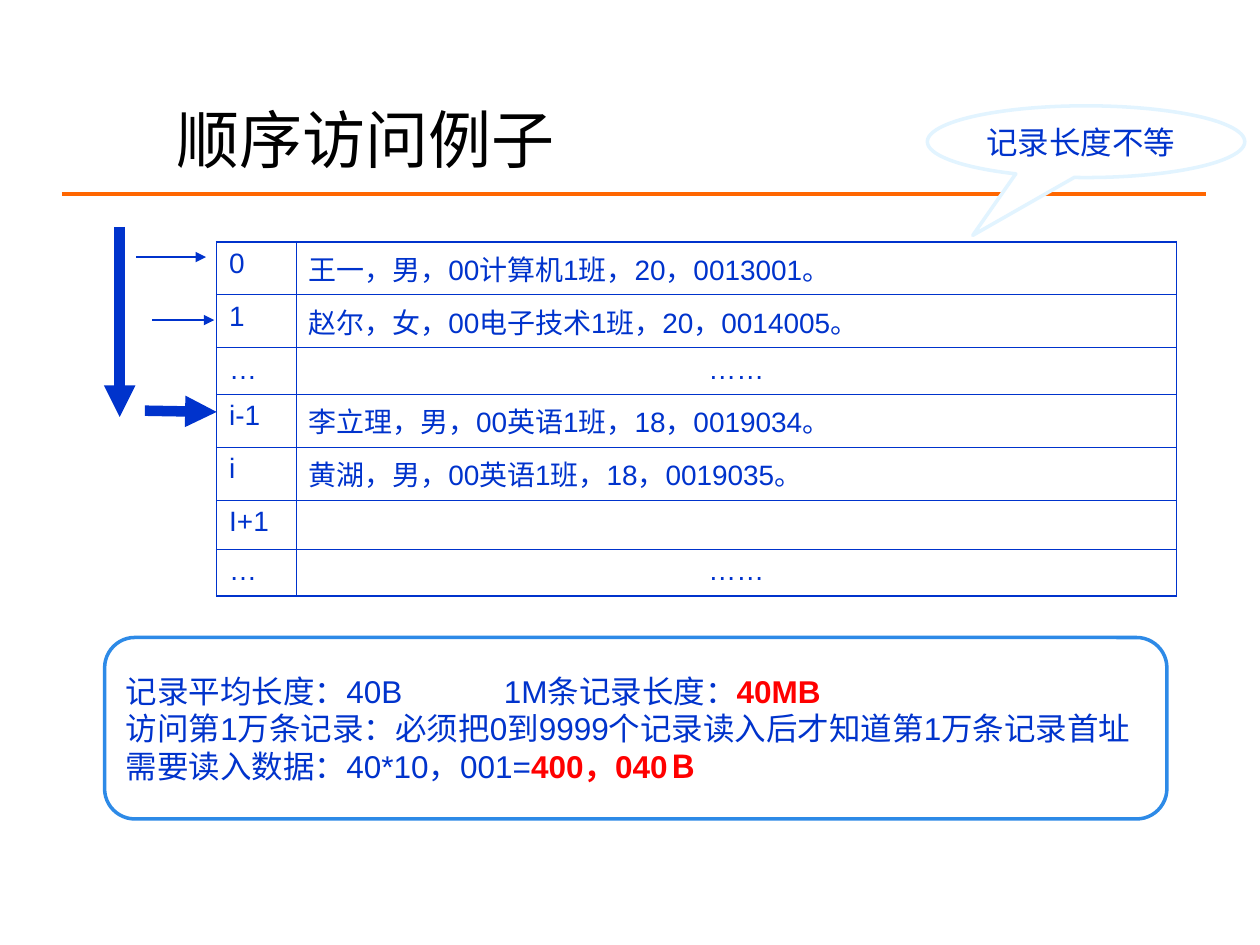
from typing import NamedTuple

from lxml.etree import SubElement
from pptx import Presentation
from pptx.dml.color import RGBColor as RGB
from pptx.enum.shapes import MSO_CONNECTOR as CONN, MSO_SHAPE as SHAPE
from pptx.enum.text import MSO_ANCHOR as ANCHOR, PP_ALIGN as ALIGN
from pptx.oxml.ns import qn
from pptx.util import Pt

COLORS = {
    "blue": "0033CC", "orange": "FF6600", "black": "000000", "red": "FF0000",
    "white": "FFFFFF", "sky": "2D8AE7", "pale": "E2F4FF",
}
THIN, THICK = 0.45, 1.08


class Run(NamedTuple):
    text: str
    color: str = "blue"
    bold: bool = False


class Line(NamedTuple):
    x1: float
    y1: float
    x2: float
    y2: float
    width: float
    color: str = "blue"
    arrow: bool = True


class Box(NamedTuple):
    kind: SHAPE
    x: float
    y: float
    w: float
    h: float
    adjustments: list[float]
    line: str
    paragraphs: list[list[Run]]


class Record(NamedTuple):
    index: str
    text: str
    right: float = THICK


RULE = Line(35.3, 110.9, 689, 110.9, 2.25, "orange", False)
ARROWS = [
    Line(82.8, 234.7, 123.8, 235.4, 6),
    Line(77.8, 146.9, 117.7, 146.9, 0.75),
    Line(87.1, 182.9, 122.4, 182.9, 0.75),
    Line(68.4, 129.6, 68.4, 238.3, 6),
]
RECORDS = [
    Record("0", "王一，男，00计算机1班，20，0013001。"),
    Record("1", "赵尔，女，00电子技术1班，20，0014005。"),
    Record("…", "……", THIN),
    Record("i-1", "李立理，男，00英语1班，18，0019034。", THIN),
    Record("i", "黄湖，男，00英语1班，18，0019035。", THIN),
    Record("I+1", ""),
    Record("…", "……"),
]
BOXES = [
    Box(SHAPE.ROUNDED_RECTANGLE, 59.8, 364.3, 607, 103.7, [0.167], "sky", [
        [Run("记录平均长度：40B\t1M条记录长度："), Run("40MB", "red", True)],
        [Run("访问第1万条记录：必须把0到9999个记录读入后才知道第1万条记录首址")],
        [Run("需要读入数据：40*10，001="), Run("400，040Ｂ", "red", True)],
    ]),
    Box(SHAPE.OVAL_CALLOUT, 529.9, 60.5, 181.4, 41, [-0.357, 1.307], "pale",
        [[Run("记录长度不等")]]),
]


def rgb(name: str) -> RGB:
    return RGB.from_string(COLORS[name])


def write(tf, paragraphs: list[list[Run]], size: float, align=ALIGN.LEFT) -> None:
    for i, runs in enumerate(paragraphs):
        p = tf.add_paragraph() if i else tf.paragraphs[0]
        p.alignment = align
        if any("\t" in run.text for run in runs):
            tabs = SubElement(p._p.get_or_add_pPr(), qn("a:tabLst"))
            SubElement(tabs, qn("a:tab"), pos=str(Pt(216)), algn="l")
        for run in runs:
            r = p.add_run()
            r.text = run.text
            for key, value in {"name": "Arial", "size": Pt(size), "bold": run.bold}.items():
                setattr(r.font, key, value)
            r.font.color.rgb = rgb(run.color)


def set_frame(tf) -> None:
    for key, value in {"word_wrap": True, "vertical_anchor": ANCHOR.MIDDLE}.items():
        setattr(tf, key, value)


def draw_line(s, line: Line) -> None:
    c = s.shapes.add_connector(CONN.STRAIGHT, *map(Pt, line[:4]))
    c.line.width = Pt(line.width)
    c.line.color.rgb = rgb(line.color)
    if line.arrow:
        SubElement(c.line._get_or_add_ln(), qn("a:tailEnd"), type="triangle")
    SubElement(c._element.spPr, qn("a:effectLst"))


def draw_box(s, box: Box) -> None:
    sp = s.shapes.add_shape(box.kind, *map(Pt, box[1:5]))
    sp.shadow.inherit = False
    for i, value in enumerate(box.adjustments):
        sp.adjustments[i] = value
    sp.fill.solid()
    sp.fill.fore_color.rgb = rgb("white")
    sp.line.width = Pt(2)
    sp.line.color.rgb = rgb(box.line)
    set_frame(sp.text_frame)
    write(sp.text_frame, box.paragraphs, 18)


def set_borders(cell, widths: dict[str, float]) -> None:
    tc_pr = cell._tc.get_or_add_tcPr()
    for side, width in widths.items():
        ln = SubElement(tc_pr, qn(f"a:ln{side}"), w=str(Pt(width)))
        fill = SubElement(ln, qn("a:solidFill"))
        SubElement(fill, qn("a:srgbClr"), val=COLORS["blue"])


def draw_table(s, records: list[Record]) -> None:
    heights = [28.1 if not rec.text else 26.6 for rec in records]
    frame = s.shapes.add_table(len(records), 2, *map(Pt, (123.8, 138.2, 548.6, sum(heights))))
    table = frame.table
    for key in ("first_row", "horz_banding"):
        setattr(table, key, False)
    for col, width in zip(table.columns, (45.4, 503.2)):
        col.width = Pt(width)
    for i, rec in enumerate(records):
        table.rows[i].height = Pt(heights[i])
        for j, text in enumerate((rec.index, rec.text)):
            cell = table.cell(i, j)
            set_borders(cell, {
                "L": THIN if j else THICK,
                "R": rec.right if j else THIN,
                "T": THIN if i else THICK,
                "B": THICK if i == len(records) - 1 else THIN,
            })
            cell.fill.background()
            align = ALIGN.CENTER if text == "……" else ALIGN.LEFT
            write(cell.text_frame, [[Run(text)]], 16, align)


def draw_title(s, text: str) -> None:
    tf = s.shapes.add_textbox(*map(Pt, (93.6, 54.7, 595.4, 48.2))).text_frame
    set_frame(tf)
    write(tf, [[Run(text, "black")]], 36)


def main() -> None:
    prs = Presentation()
    prs.slide_width, prs.slide_height = Pt(720), Pt(540)
    s = prs.slides.add_slide(prs.slide_layouts[6])
    draw_line(s, RULE)
    draw_table(s, RECORDS)
    for arrow in ARROWS:
        draw_line(s, arrow)
    draw_title(s, "顺序访问例子")
    for box in BOXES:
        draw_box(s, box)
    prs.save("out.pptx")


if __name__ == "__main__":
    main()
